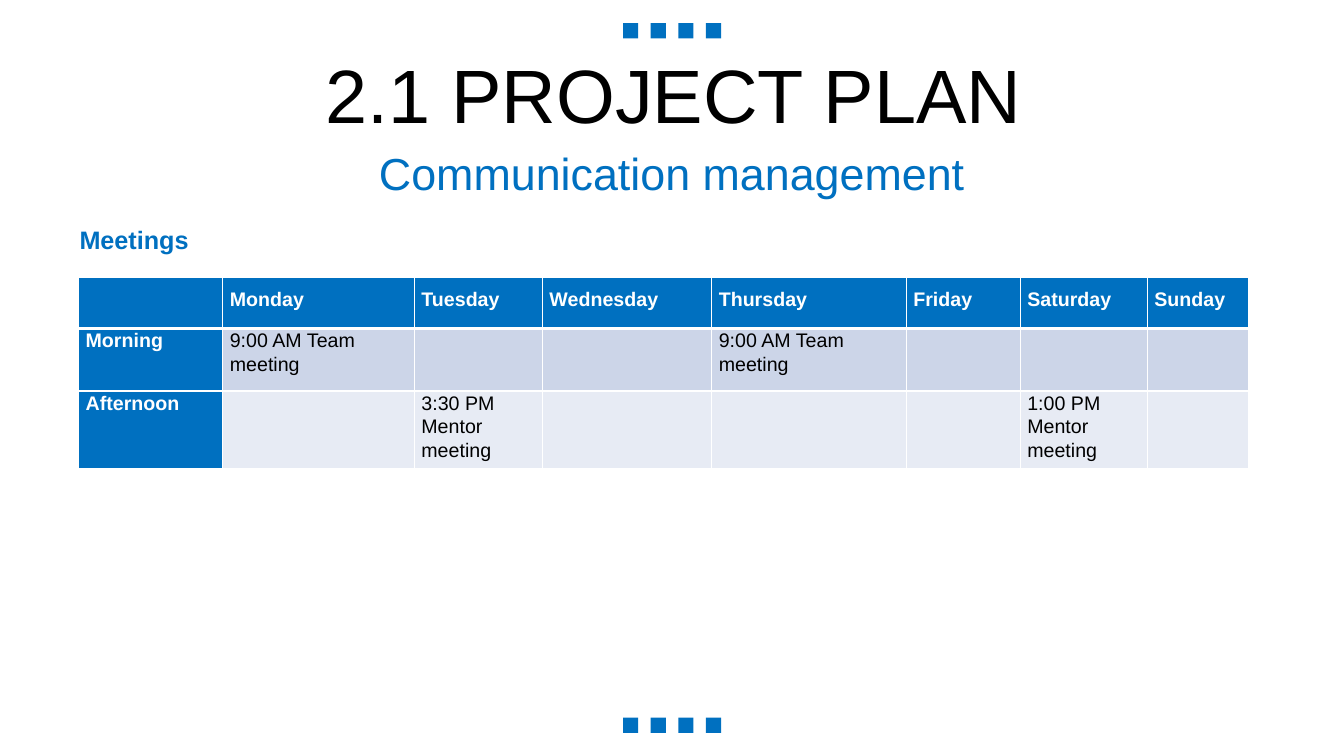
from dataclasses import dataclass

from lxml import etree
from pptx import Presentation
from pptx import util as u
from pptx.dml import color
from pptx.enum import shapes, text
from pptx.oxml import ns

BLUE, BLACK, WHITE = "0070C0", "000000", "FFFFFF"
BANDS = ["CCD5E8", "E7EBF4"]
DAYS = ["", "Monday", "Tuesday", "Wednesday", "Thursday", "Friday", "Saturday", "Sunday"]
TEAM = "9:00 AM Team meeting"
ROWS = [
    DAYS,
    ["Morning", TEAM, "", "", TEAM, "", "", ""],
    ["Afternoon", "", "3:30 PM Mentor meeting", "", "", "", "1:00 PM Mentor meeting", ""],
]
WIDTHS = [1.43, 1.9, 1.27, 1.68, 1.93, 1.13, 1.26, 1]
HEIGHTS = [0.51, 0.62, 0.77]


@dataclass
class Label:
    words: str
    box: tuple[float, float, float, float]
    size: int
    hue: str
    bold: bool = False
    align: text.PP_ALIGN = text.PP_ALIGN.CENTER
    anchor: text.MSO_ANCHOR = text.MSO_ANCHOR.MIDDLE
    lead: float = 1.0


LABELS = [
    Label("2.1 PROJECT PLAN", (0.35, 0.59, 12.66, 0.79), 54, BLACK, lead=0.9),
    Label("Communication management", (3.6, 1.39, 6.13, 0.64), 32, BLUE),
    Label("Meetings", (0.69, 2.18, 3.68, 0.4), 18, BLUE, True,
          text.PP_ALIGN.LEFT, text.MSO_ANCHOR.TOP),
]


def rgb(hue: str) -> color.RGBColor:
    return color.RGBColor.from_string(hue)


def paint(item, hue: str) -> None:
    item.fill.solid()
    item.fill.fore_color.rgb = rgb(hue)


def style(item, form: dict) -> None:
    for name, value in form.items():
        setattr(item, name, value)


def write(para, words: str, size: int, hue: str, bold: bool, lead: float) -> None:
    run = para.add_run()
    run.text = words
    style(run.font, {"name": "Arial", "size": u.Pt(size), "bold": bold})
    run.font.color.rgb = rgb(hue)
    para.line_spacing = lead


def draw_dots(slide, top: float) -> None:
    for col in range(4):
        dot = slide.shapes.add_shape(
            shapes.MSO_SHAPE.RECTANGLE, u.Inches(6.18 + col * 0.274),
            u.Inches(top), u.Inches(0.15), u.Inches(0.15))
        paint(dot, BLUE)
        dot.line.fill.background()
        dot.shadow.inherit = False


def draw_label(slide, label: Label) -> None:
    frame = slide.shapes.add_textbox(*map(u.Inches, label.box)).text_frame
    style(frame, {"word_wrap": True, "vertical_anchor": label.anchor})
    para = frame.paragraphs[0]
    para.alignment = label.align
    write(para, label.words, label.size, label.hue, label.bold, label.lead)


def edge(cell, sides: dict[str, int]) -> None:
    props = cell._tc.get_or_add_tcPr()
    for spot, (side, width) in enumerate(sides.items()):
        line = etree.Element(ns.qn(f"a:ln{side}"), w=str(u.Pt(width)))
        fill = etree.SubElement(line, ns.qn("a:solidFill"))
        etree.SubElement(fill, ns.qn("a:srgbClr"), val=WHITE)
        props.insert(spot, line)


def draw_table(slide) -> None:
    table = slide.shapes.add_table(
        len(ROWS), len(DAYS), u.Inches(0.78), u.Inches(2.75),
        u.Inches(sum(WIDTHS)), u.Inches(sum(HEIGHTS))).table
    for col, width in zip(table.columns, WIDTHS):
        col.width = u.Inches(width)
    for row, height in zip(table.rows, HEIGHTS):
        row.height = u.Inches(height)
    pad = u.Inches(0.07)
    for r, row in enumerate(ROWS):
        for c, words in enumerate(row):
            cell = table.cell(r, c)
            head = r == 0 or c == 0
            paint(cell, BLUE if head else BANDS[r - 1])
            edge(cell, {"L": 1, "R": 1, "T": 3 if r == 1 else 1, "B": 3 if r == 0 else 1})
            style(cell, {"margin_left": pad, "margin_right": pad,
                         "margin_top": 0, "margin_bottom": 0})
            if words:
                write(cell.text_frame.paragraphs[0], words, 14,
                      WHITE if head else BLACK, head, 1.07 if r else 1.5)


def main() -> None:
    deck = Presentation()
    style(deck, {"slide_width": u.Inches(13.33), "slide_height": u.Inches(7.5)})
    slide = deck.slides.add_slide(deck.slide_layouts[6])
    for top in (0.23, 7.12):
        draw_dots(slide, top)
    for label in LABELS:
        draw_label(slide, label)
    draw_table(slide)
    deck.save("out.pptx")


if __name__ == "__main__":
    main()
